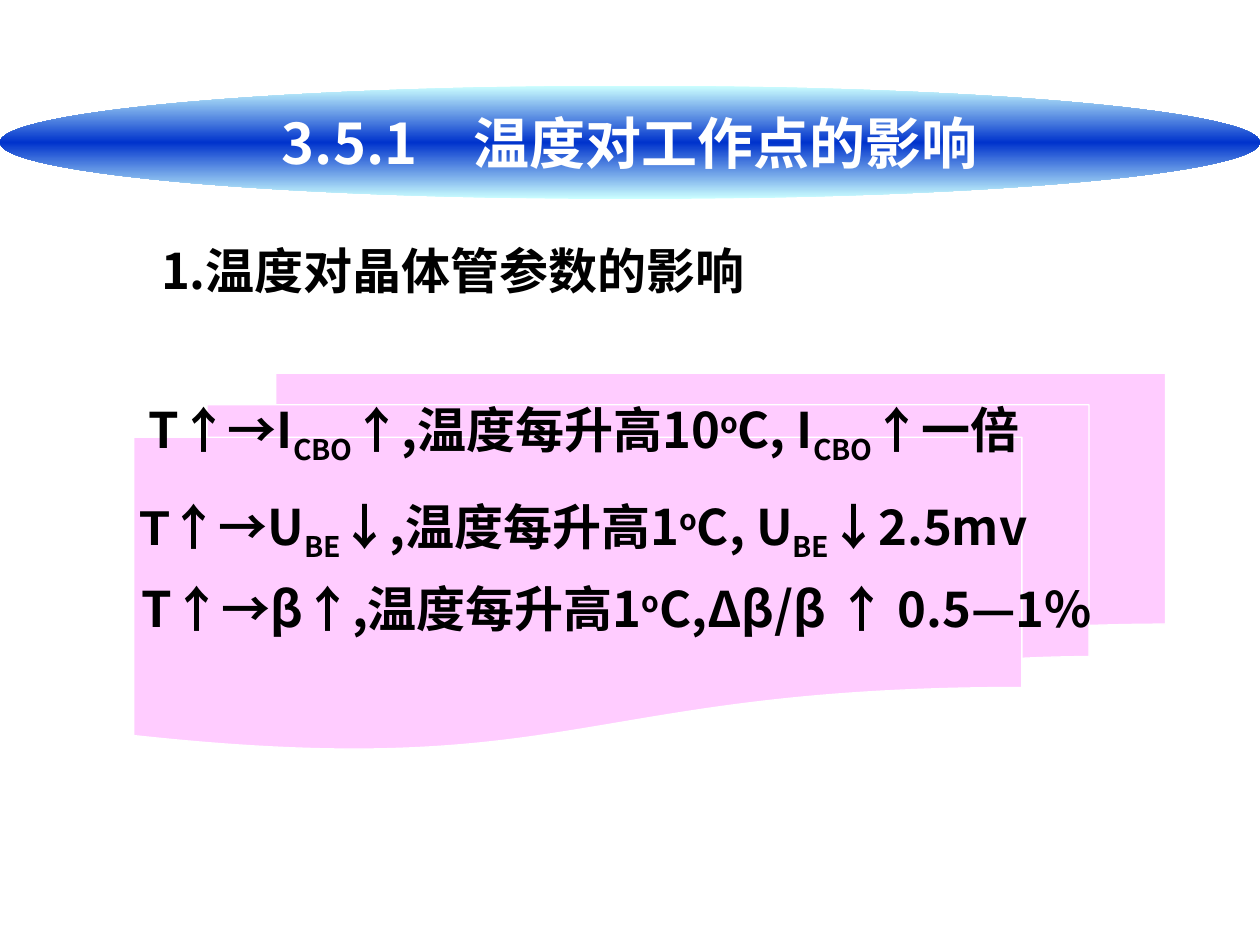
"""Build the slide on how temperature affects transistor parameters."""
from copy import deepcopy
from lxml import etree
from pptx import Presentation
from pptx import util as u
from pptx.dml.color import RGBColor
from pptx.enum import shapes, text
from pptx.oxml.ns import qn

SANS = "Noto Sans CJK SC"
SUB, SUP = -25, 30


def rgb(value):
    return RGBColor.from_string(value)


def add_run(p, content, size=28, color="000000", font=SANS, base=0):
    r = p.add_run()
    r.text = content
    r.font.size = u.Pt(size)
    r.font.bold = True
    r.font.color.rgb = rgb(color)
    r.font.name = font
    rPr = r.font._element
    etree.SubElement(rPr, qn("a:ea")).set("typeface", font)
    if base:
        rPr.set("baseline", str(base * 1000))


prs = Presentation()
prs.slide_width, prs.slide_height = u.Pt(720), u.Pt(540)
s = prs.slides.add_slide(prs.slide_layouts[6])

sp = s.shapes.add_shape(shapes.MSO_SHAPE.FLOWCHART_MULTIDOCUMENT,
                        u.Pt(76.5), u.Pt(213.25), u.Pt(589.5), u.Pt(215.25))
sp.shadow.inherit = False
sp.fill.solid()
sp.fill.fore_color.rgb = rgb("FFCCFF")
sp.line.color.rgb = rgb("FFFFFF")
sp.line.width = u.Pt(0.75)

lines = [
    (85, 134, 397.5, 41, 0, [("1.温度对晶体管参数的影响", {})]),
    (77.75, 224.5, 597, 45.5, 0, [
        ("T↑→I", {}), ("CBO", {"base": SUB}), ("↑,温度每升高10", {}),
        ("o", {"base": SUP}), ("C, I", {}), ("CBO", {"base": SUB}), ("↑一倍", {})]),
    (72.75, 280, 573, 45.5, 0, [
        ("T", {"font": "Arial"}), ("↑→U", {}), ("BE", {"base": SUB}),
        ("↓,温度每升高1", {}), ("o", {"base": SUP}), ("C, U", {}),
        ("BE", {"base": SUB}), ("↓2.5mv", {})]),
    (38, 327, 682, 41, 36, [
        ("T↑→β↑,温度每升高1", {}), ("o", {"base": SUP}), ("C,Δβ/β ↑ 0.5—1%", {})]),
]
for left, top, width, height, indent, runs in lines:
    sp = s.shapes.add_textbox(u.Pt(left), u.Pt(top), u.Pt(width), u.Pt(height))
    tf = sp.text_frame
    tf.word_wrap = True
    tf.auto_size = text.MSO_AUTO_SIZE.SHAPE_TO_FIT_TEXT
    p = tf.paragraphs[0]
    if indent:
        p.level = 1
        pPr = p._p.get_or_add_pPr()
        pPr.set("marL", str(u.Pt(indent)))
        pPr.set("indent", "0")
    for content, fmt in runs:
        add_run(p, content, **fmt)

sp = s.shapes.add_shape(shapes.MSO_SHAPE.OVAL, 0, u.Pt(49), u.Pt(720), u.Pt(64.75))
sp.shadow.inherit = False
sp.line.fill.background()
sp.fill.gradient()
sp.fill.gradient_angle = 90
stops = sp._element.spPr.find(qn("a:gradFill")).find(qn("a:gsLst"))
stops.insert(1, deepcopy(stops[0]))
for stop, pos, color in zip(sp.fill.gradient_stops, (0, 0.5, 1),
                            ("CCFFFF", "0033CC", "CCFFFF")):
    stop.position = pos
    stop.color.rgb = rgb(color)
tf = sp.text_frame
tf.word_wrap = True
tf.vertical_anchor = text.MSO_ANCHOR.MIDDLE
p = tf.paragraphs[0]
p.alignment = text.PP_ALIGN.CENTER
add_run(p, "3.5.1　温度对工作点的影响", size=32, color="FFFFFF")

prs.save("out.pptx")
